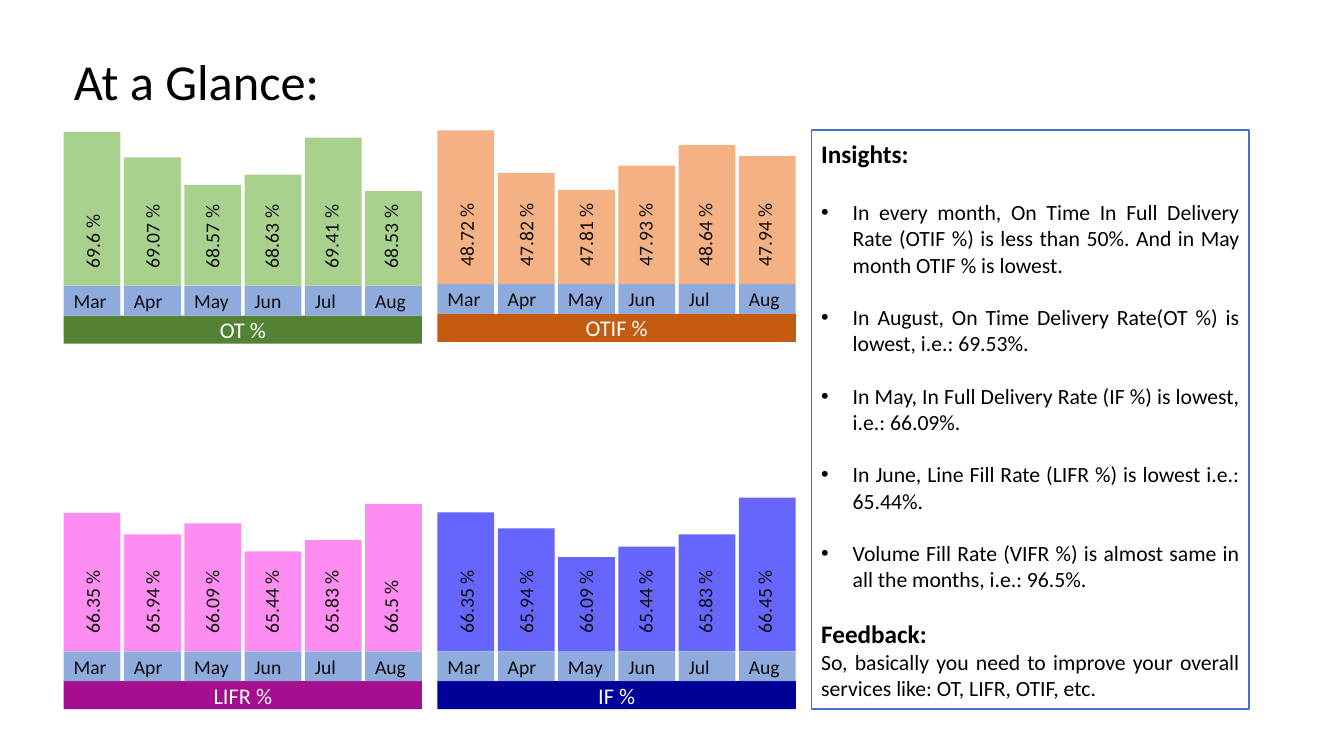
from pptx import Presentation
from pptx.dml.color import RGBColor
from pptx.enum.shapes import MSO_SHAPE
from pptx.enum.text import MSO_ANCHOR, MSO_AUTO_SIZE, PP_ALIGN
from pptx.util import Pt
from lxml.etree import SubElement
from pptx.oxml.ns import qn

COLORS = {
    "white": "FFFFFF", "black": "000000", "ink": "0D0D0D",
    "month": "8FAADC", "border": "4472C4",
    "green": "A9D18E", "dark_green": "548235",
    "orange": "F4B183", "dark_orange": "C55A11",
    "pink": "FD8DF0", "dark_pink": "A60E90",
    "blue": "6666FF", "dark_blue": "000099",
}
TITLE = "At a Glance:"
MONTHS = ["Mar", "Apr", "May", "Jun", "Jul", "Aug"]
PANELS = [
    dict(name="OTIF %", left=312.5, base=202.8, bar="orange", band="dark_orange",
         values=["48.72", "47.82", "47.81", "47.93", "48.64", "47.94"],
         heights=[109.7, 79.2, 67.2, 84.5, 99.2, 91.3]),
    dict(name="LIFR %", left=45.5, base=465.2, bar="pink", band="dark_pink",
         values=["66.35", "65.94", "66.09", "65.44", "65.83", "66.5"],
         heights=[98.9, 83.4, 91.3, 71.3, 79.3, 105.3]),
    dict(name="OT %", left=45.5, base=204, bar="green", band="dark_green",
         values=["69.6", "69.07", "68.57", "68.63", "69.41", "68.53"],
         heights=[109.7, 91.6, 71.9, 79.3, 105.6, 67.4]),
    dict(name="IF %", left=312.5, base=465.2, bar="blue", band="dark_blue",
         values=["66.35", "65.94", "66.09", "65.44", "65.83", "66.45"],
         heights=[99.2, 87.8, 67.2, 74.8, 83.4, 109.7]),
]
INSIGHTS = [
    "In every month, On Time In Full Delivery Rate (OTIF %) is less than 50%. "
    "And in May month OTIF % is lowest.",
    "In August, On Time Delivery Rate(OT %) is lowest, i.e.: 69.53%.",
    "In May, In Full Delivery Rate (IF %) is lowest, i.e.: 66.09%.",
    "In June, Line Fill Rate (LIFR %) is lowest i.e.: 65.44%.",
    "Volume Fill Rate (VIFR %) is almost same in all the months, i.e.: 96.5%.",
]
FEEDBACK = "So, basically you need to improve your overall services like: OT, LIFR, OTIF, etc."

BAR_W, PITCH, LABEL_PITCH = 40.6, 43.07, 42.6
MONTH_H, BAND_H = 21.4, 20
PANEL_W = PITCH * 5 + BAR_W
LABEL_W, LABEL_H, LABEL_RISE = 62, 27, 36.4


def rgb(name):
    return RGBColor.from_string(COLORS[name])


def write(tf, text, size=14, color="ink", bold=False, align=PP_ALIGN.LEFT,
          before=0, bullet=False, first=True):
    p = tf.paragraphs[0] if first else tf.add_paragraph()
    p.alignment = align
    p.space_before = Pt(before)
    if bullet:
        pPr = p._p.get_or_add_pPr()
        pPr.set("marL", str(Pt(22.5)))
        pPr.set("indent", str(-Pt(22.5)))
        SubElement(pPr, qn("a:buFont"), typeface="Arial")
        SubElement(pPr, qn("a:buChar"), char="•")
    r = p.add_run()
    r.text = text
    r.font.name = "Calibri"
    r.font.size = Pt(size)
    r.font.bold = bold
    r.font.color.rgb = rgb(color)


def add_rect(shapes, x, y, w, h, fill):
    sp = shapes.add_shape(MSO_SHAPE.RECTANGLE, Pt(x), Pt(y), Pt(w), Pt(h))
    sp.shadow.inherit = False
    sp.fill.solid()
    sp.fill.fore_color.rgb = rgb(fill)
    sp.line.fill.background()
    sp.text_frame.vertical_anchor = MSO_ANCHOR.MIDDLE
    return sp


def add_panel(slide, name, left, base, bar, band, values, heights):
    shapes = slide.shapes.add_group_shape().shapes
    sp = add_rect(shapes, left, base + MONTH_H, PANEL_W, BAND_H, band)
    write(sp.text_frame, name, size=16, color="white", align=PP_ALIGN.CENTER)
    for i, (month, value, height) in enumerate(zip(MONTHS, values, heights)):
        x = left + i * PITCH
        sp = add_rect(shapes, x, base, BAR_W, MONTH_H, "month")
        sp.text_frame.margin_right = 0
        write(sp.text_frame, month)
        add_rect(shapes, x, base - height, BAR_W, height, bar)
        label_x = left + BAR_W / 2 + i * LABEL_PITCH - LABEL_W / 2
        label = shapes.add_textbox(Pt(label_x), Pt(base - LABEL_RISE - LABEL_H / 2),
                                   Pt(LABEL_W), Pt(LABEL_H))
        label.rotation = 270
        tf = label.text_frame
        tf.word_wrap = True
        tf.vertical_anchor = MSO_ANCHOR.MIDDLE
        write(tf, f"{value} %")


def add_insights(slide):
    sp = add_rect(slide.shapes, 579.5, 93, 312.7, 413.4, "white")
    sp.line.color.rgb = rgb("border")
    sp.line.width = Pt(1)
    tf = sp.text_frame
    write(tf, "Insights:", size=18, color="black", bold=True)
    for i, text in enumerate(INSIGHTS):
        write(tf, text, size=15.5, color="black", align=PP_ALIGN.JUSTIFY,
              before=19 if i else 22, bullet=True, first=False)
    write(tf, "Feedback:", size=18, color="black", bold=True, before=19, first=False)
    write(tf, FEEDBACK, size=15.5, color="black", align=PP_ALIGN.JUSTIFY, first=False)


def main():
    prs = Presentation()
    prs.slide_width, prs.slide_height = Pt(960), Pt(540)
    slide = prs.slides.add_slide(prs.slide_layouts[5])
    title = slide.shapes.title
    title.left, title.top, title.width, title.height = Pt(45.5), Pt(33), Pt(736.5), Pt(49)
    title.fill.solid()
    title.fill.fore_color.rgb = rgb("white")
    tf = title.text_frame
    tf.auto_size = MSO_AUTO_SIZE.NONE
    tf.vertical_anchor = MSO_ANCHOR.MIDDLE
    write(tf, TITLE, size=36, color="black")
    add_insights(slide)
    for panel in PANELS:
        add_panel(slide, **panel)
    prs.save("out.pptx")


if __name__ == "__main__":
    main()
